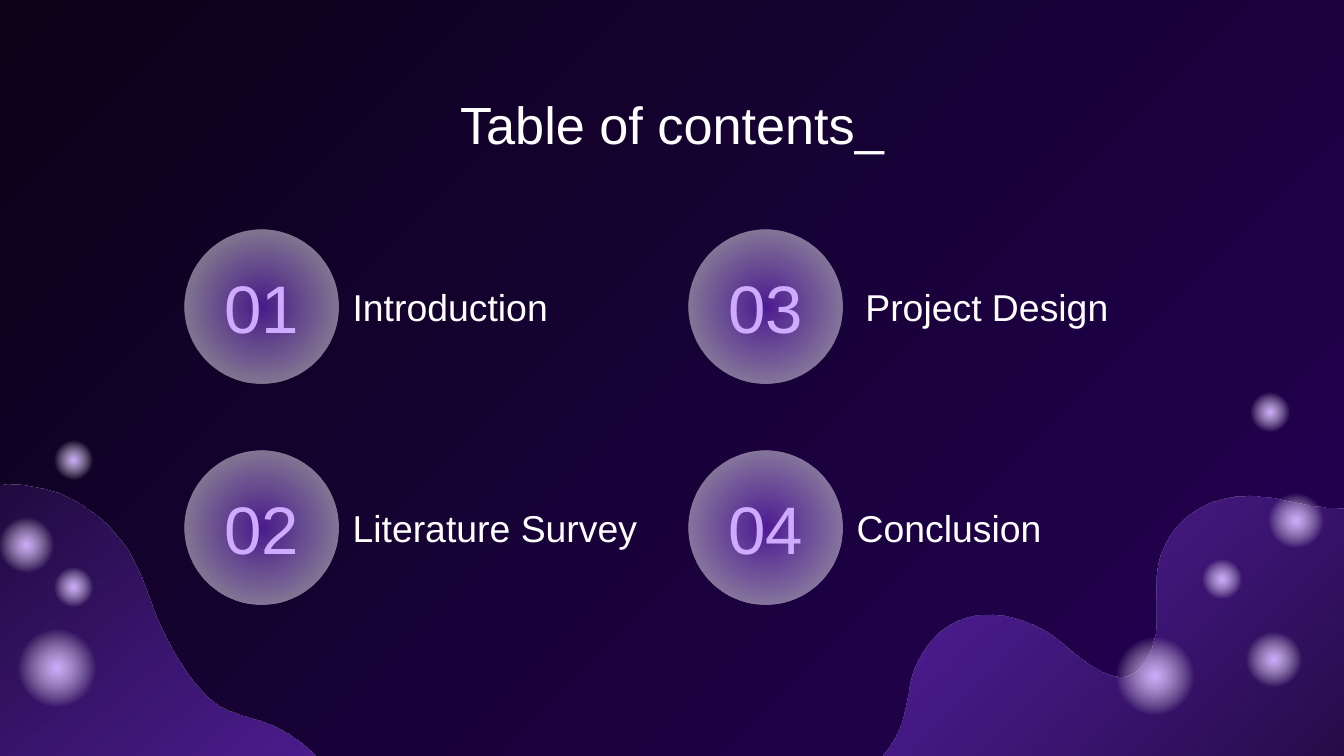
import dataclasses
import math

import pptx
import pptx.dml.color
import pptx.enum.shapes
import pptx.enum.text
import pptx.oxml
import pptx.oxml.ns
import pptx.util

Pt = pptx.util.Pt


@dataclasses.dataclass(frozen=True)
class Theme:
    font: str = "Arial"
    night: str = "0B0218"
    indigo: str = "240155"
    violet: str = "8134EC"
    lilac: str = "CEABFF"
    white: str = "FFFFFF"
    title_size: float = 28
    number_size: float = 36
    label_size: float = 20


THEME = Theme()

# Gradient stops: position, colour, opacity (all in percent)
BLOB_STOPS = [(0, THEME.night, 100), (100, THEME.violet, 70)]
ORB_STOPS = [(0, THEME.lilac, 100), (57, THEME.white, 0), (100, THEME.white, 0)]
BADGE_STOPS = [(0, THEME.violet, 49), (77, THEME.white, 49), (100, THEME.white, 49)]

# Blob outlines on a grid of 0.72 pt: one point is a line, three are a curve
GRID = Pt(0.72)
RIGHT_START = (1041, 363)
RIGHT_BLOB = [
    [(1033, 369), (1020, 375), (1010, 377)],
    [(994, 381), (978, 377), (962, 374)],
    [(951, 372), (940, 369), (929, 369)],
    [(900, 369), (876, 383), (865, 409)],
    [(853, 435), (869, 465), (852, 492)],
    [(834, 520), (804, 490), (787, 476)],
    [(766, 460), (732, 450), (708, 464)],
    [(696, 471), (686, 483), (681, 496)],
    [(675, 509), (676, 524), (671, 538)],
    [(666, 550), (657, 566), (644, 572)],
    [(630, 578), (615, 578), (601, 580)],
    [(543, 589), (486, 625), (463, 681)],
    [(460, 688), (457, 699), (457, 706)],
    [(1083, 706)],
    [(1074, 325)],
    [(1070, 338), (1052, 355), (1041, 363)],
]
LEFT_PIVOT = (46.5, 583)
LEFT_START = (100, 806)
LEFT_BLOB = [
    [(118, 808), (137, 801), (151, 789)],
    [(163, 779), (171, 766), (178, 752)],
    [(184, 737), (186, 722), (193, 708)],
    [(208, 679), (238, 664), (248, 631)],
    [(254, 610), (251, 586), (239, 568)],
    [(230, 556), (218, 548), (205, 541)],
    [(198, 538), (192, 536), (185, 534)],
    [(180, 532), (175, 531), (170, 529)],
    [(161, 526), (154, 519), (148, 512)],
    [(134, 497), (124, 478), (116, 459)],
    [(108, 439), (103, 420), (90, 403)],
    [(78, 387), (62, 375), (43, 367)],
    [(34, 364), (25, 362), (15, 361)],
    [(-7, 359), (-30, 364), (-48, 377)],
    [(-62, 386), (-73, 400), (-73, 416)],
    [(-73, 427), (-67, 437), (-60, 445)],
    [(-50, 455), (-37, 461), (-29, 472)],
    [(-14, 490), (-13, 517), (-25, 537)],
    [(-37, 557), (-58, 563), (-80, 562)],
    [(-102, 562), (-127, 574), (-142, 590)],
    [(-158, 606), (-167, 632), (-161, 654)],
    [(-157, 668), (-148, 680), (-136, 687)],
    [(-129, 692), (-120, 694), (-111, 695)],
    [(-106, 695), (-101, 696), (-95, 696)],
    [(-88, 696), (-80, 696), (-72, 697)],
    [(-44, 699), (-15, 706), (8, 724)],
    [(23, 736), (34, 752), (45, 768)],
    [(56, 781), (68, 795), (84, 802)],
    [(89, 804), (94, 805), (100, 806)],
]

# Glowing orbs in points: left, top, diameter
SMALL, MEDIUM, LARGE = 25.9, 36.7, 51.8
ORBS = [
    (4.8, 332.1, LARGE), (-4.2, 273.7, MEDIUM), (26.6, 233.5, SMALL),
    (26.6, 301.7, SMALL), (592.8, 336.5, LARGE), (664.1, 335, MEDIUM),
    (667.5, 207.8, SMALL), (641.8, 297.4, SMALL), (675.7, 260.6, MEDIUM),
]

# Contents: label, column, row, extra gap before the label in points
ENTRIES = [("Introduction", 0, 0, 0), ("Literature Survey", 0, 1, 0),
           ("Project Design", 1, 0, 4.7), ("Conclusion", 1, 1, 0)]
BADGE, BADGE_LEFT, BADGE_TOP = 82.2, 99, 123.1
COLUMN_STEP, ROW_STEP = 270, 118.4


def paint_gradient(shape, stops, angle=None):
    """Fill with a linear gradient, or a circular one if no angle is given."""
    stop_xml = "".join(
        f'<a:gs pos="{position * 1000}"><a:srgbClr val="{color}">'
        f'<a:alpha val="{opacity * 1000}"/></a:srgbClr></a:gs>'
        for position, color, opacity in stops)
    if angle is None:
        direction = ('<a:path path="circle"><a:fillToRect l="50000" t="50000" '
                     'r="50000" b="50000"/></a:path>')
    else:
        direction = f'<a:lin ang="{angle * 60000}" scaled="0"/>'
    gradient = pptx.oxml.parse_xml(
        f'<a:gradFill {pptx.oxml.ns.nsdecls("a")} rotWithShape="1">'
        f"<a:gsLst>{stop_xml}</a:gsLst>{direction}</a:gradFill>")
    shape.fill.gradient()
    properties = shape.element.spPr
    properties.replace(properties.find(pptx.oxml.ns.qn("a:gradFill")), gradient)
    shape.line.fill.background()
    shape.shadow.inherit = False


def paint_background(slide):
    fill = slide.background.fill
    fill.gradient()
    fill.gradient_angle = 315
    for stop, color, position in zip(fill.gradient_stops, (THEME.night, THEME.indigo), (0, 1)):
        stop.color.rgb = pptx.dml.color.RGBColor.from_string(color)
        stop.position = position


def turn(point, pivot, degrees):
    angle = math.radians(degrees)
    x, y = point[0] - pivot[0], point[1] - pivot[1]
    return (pivot[0] + x * math.cos(angle) - y * math.sin(angle),
            pivot[1] + x * math.sin(angle) + y * math.cos(angle))


def bend_segments(shape, segments):
    """Join each three straight steps of a curve into one Bezier segment."""
    lines = iter(list(shape.element.iter(pptx.oxml.ns.qn("a:lnTo"))))
    for segment in segments:
        steps = [next(lines) for _ in segment]
        if len(steps) == 3:
            curve = pptx.oxml.parse_xml(f'<a:cubicBezTo {pptx.oxml.ns.nsdecls("a")}/>')
            steps[0].addprevious(curve)
            for step in steps:
                curve.append(step[0])
                step.getparent().remove(step)


def add_blob(slide, start, segments, pivot=(0, 0), rotation=0):
    """Draw an outline given as it lies after the rotation."""
    outline = [start] + [point for segment in segments for point in segment]
    points = [tuple(value * GRID for value in turn(point, pivot, -rotation))
              for point in outline]
    builder = slide.shapes.build_freeform(*points[0], scale=1.0)
    builder.add_line_segments(points[1:], close=True)
    shape = builder.convert_to_shape()
    bend_segments(shape, segments)
    # The shape turns about its own centre, so move that centre into place
    center = (shape.left + shape.width / 2, shape.top + shape.height / 2)
    target = turn(center, [value * GRID for value in pivot], rotation)
    shape.left += round(target[0] - center[0])
    shape.top += round(target[1] - center[1])
    shape.rotation = rotation
    paint_gradient(shape, BLOB_STOPS, angle=225)


def add_circle(slide, left, top, diameter, stops):
    shape = slide.shapes.add_shape(pptx.enum.shapes.MSO_SHAPE.OVAL,
                                   Pt(left), Pt(top), Pt(diameter), Pt(diameter))
    paint_gradient(shape, stops)


def add_text(slide, text, box, size, color, centered=True, middle=True):
    frame = slide.shapes.add_textbox(*map(Pt, box)).text_frame
    frame.word_wrap = True
    frame.margin_left = frame.margin_right = frame.margin_top = frame.margin_bottom = Pt(7.2)
    anchor = pptx.enum.text.MSO_ANCHOR
    frame.vertical_anchor = anchor.MIDDLE if middle else anchor.TOP
    paragraph = frame.paragraphs[0]
    align = pptx.enum.text.PP_ALIGN
    paragraph.alignment = align.CENTER if centered else align.LEFT
    run = paragraph.add_run()
    run.text = text
    run.font.name = THEME.font
    run.font.size = Pt(size)
    run.font.color.rgb = pptx.dml.color.RGBColor.from_string(color)


def add_entry(slide, number, label, column, row, gap):
    left = BADGE_LEFT + column * COLUMN_STEP
    top = BADGE_TOP + row * ROW_STEP
    text_top, text_height = top + 15.1, 51.8
    add_circle(slide, left, top, BADGE, BADGE_STOPS)
    add_text(slide, f"{number:02}", (left, text_top, BADGE, text_height),
             THEME.number_size, THEME.lilac)
    add_text(slide, label, (left + BADGE + 0.6 + gap, text_top, 169.2, text_height),
             THEME.label_size, THEME.white, centered=False)


def main():
    presentation = pptx.Presentation()
    presentation.slide_width, presentation.slide_height = Pt(720), Pt(405)
    slide = presentation.slides.add_slide(presentation.slide_layouts[6])
    # Backdrop
    paint_background(slide)
    add_blob(slide, RIGHT_START, RIGHT_BLOB)
    add_blob(slide, LEFT_START, LEFT_BLOB, LEFT_PIVOT, rotation=185.1)
    for orb in ORBS:
        add_circle(slide, *orb, ORB_STOPS)
    # Title and contents
    add_text(slide, "Table of contents_", (56.5, 42.5, 607, 45.4),
             THEME.title_size, THEME.white, middle=False)
    for number, entry in enumerate(ENTRIES, start=1):
        add_entry(slide, number, *entry)
    presentation.save("out.pptx")


if __name__ == "__main__":
    main()
